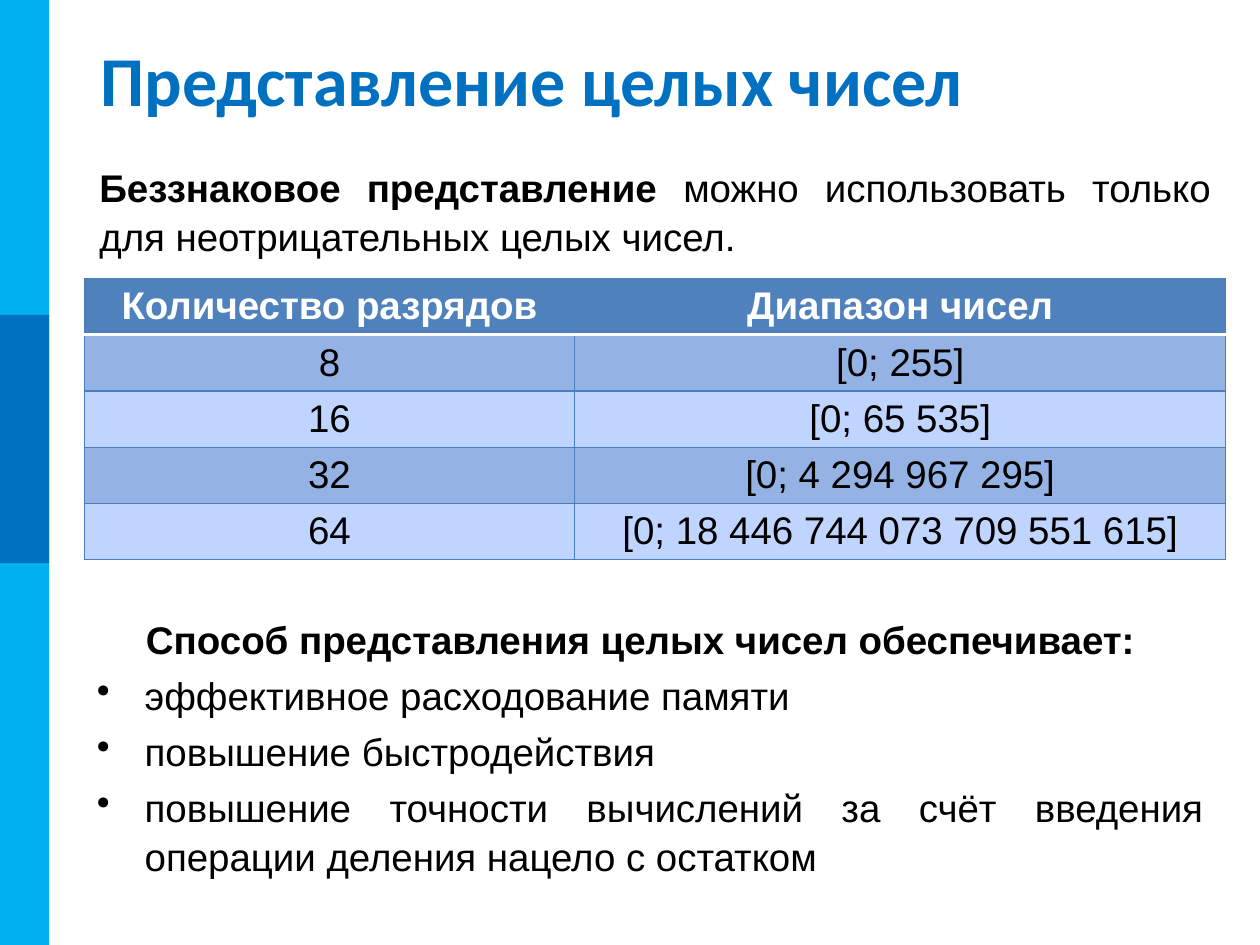
from dataclasses import dataclass

from lxml import etree
from pptx import Presentation
from pptx import util as u
from pptx.dml.color import RGBColor
from pptx.enum import shapes, text
from pptx.oxml import ns

PX = 9144
SKY = RGBColor(0x00, 0xB0, 0xF0)
BLUE = RGBColor(0x00, 0x70, 0xC0)
HEAD = RGBColor(0x4F, 0x81, 0xBD)
EDGE = RGBColor(0x4B, 0x7E, 0xBC)
DARK = RGBColor(0x94, 0xB3, 0xE4)
PALE = RGBColor(0xBF, 0xD4, 0xFF)
WHITE = RGBColor(0xFF, 0xFF, 0xFF)
BLACK = RGBColor(0x00, 0x00, 0x00)

BASE = {"name": "Arial", "size": u.Pt(22), "bold": False}
BOLD = {**BASE, "bold": True}
TITLE = {"name": "Calibri", "size": u.Pt(40), "bold": True}


@dataclass
class Box:
    x: int
    y: int
    w: int
    h: int

    def emu(self) -> tuple:
        return tuple(n * PX for n in (self.x, self.y, self.w, self.h))


@dataclass
class Bar:
    box: Box
    color: RGBColor


@dataclass
class Para:
    runs: list
    left: int = 0
    first: int = 0
    space: int = 0
    bullet: str = ""


BARS = [Bar(Box(0, 0, 39, 750), SKY), Bar(Box(0, 250, 39, 197), BLUE)]
INTRO = [
    Para([
        ("Беззнаковое представление ", BOLD),
        ("можно использовать только для неотрицательных целых чисел.", BASE),
    ])
]
GOALS = [
    "эффективное расходование памяти",
    "повышение быстродействия",
    "повышение точности вычислений за счёт введения операции деления нацело с остатком",
]
BODY = [Para([("Способ представления целых чисел обеспечивает:", BOLD)], first=39, space=4)]
BODY += [Para([(goal, BASE)], 38, -38, 4, "•") for goal in GOALS]
ROWS = [
    ("Количество разрядов", "Диапазон чисел"),
    ("8", "[0; 255]"),
    ("16", "[0; 65 535]"),
    ("32", "[0; 4 294 967 295]"),
    ("64", "[0; 18 446 744 073 709 551 615]"),
]
COLS = (389, 517)
ROW = 44


def apply(item, vals: dict) -> None:
    for key, val in vals.items():
        setattr(item, key, val)


def put_run(para, words: str, font: dict, color: RGBColor) -> None:
    run = para.add_run()
    run.text = words
    apply(run.font, font)
    run.font.color.rgb = color


def put_bar(slide, bar: Bar) -> None:
    rect = slide.shapes.add_shape(shapes.MSO_SHAPE.RECTANGLE, *bar.box.emu())
    rect.shadow.inherit = False
    rect.fill.solid()
    rect.fill.fore_color.rgb = bar.color
    rect.line.fill.background()


def put_title(slide, words: str, box: Box) -> None:
    title = slide.shapes.title
    apply(title, dict(zip(("left", "top", "width", "height"), box.emu())))
    title.text_frame.vertical_anchor = text.MSO_ANCHOR.MIDDLE
    para = title.text_frame.paragraphs[0]
    para.alignment = text.PP_ALIGN.LEFT
    put_run(para, words, TITLE, BLUE)


def put_text(slide, box: Box, paras: list) -> None:
    frame = slide.shapes.add_textbox(*box.emu()).text_frame
    frame.word_wrap = True
    for num, item in enumerate(paras):
        para = frame.add_paragraph() if num else frame.paragraphs[0]
        apply(para, {
            "alignment": text.PP_ALIGN.JUSTIFY,
            "line_spacing": 1.06,
            "space_before": u.Pt(item.space),
        })
        props = para._p.get_or_add_pPr()
        props.set("marL", str(item.left * PX))
        props.set("indent", str(item.first * PX))
        if item.bullet:
            etree.SubElement(props, ns.qn("a:buChar")).set("char", item.bullet)
        for words, font in item.runs:
            put_run(para, words, font, BLACK)


def put_edge(cell, side: str, color: RGBColor, width: float) -> None:
    line = etree.SubElement(cell._tc.get_or_add_tcPr(), ns.qn(f"a:ln{side}"))
    line.set("w", str(u.Pt(width)))
    fill = etree.SubElement(line, ns.qn("a:solidFill"))
    etree.SubElement(fill, ns.qn("a:srgbClr")).set("val", str(color))


def put_cell(cell, words: str, row: int) -> None:
    apply(cell, {
        "vertical_anchor": text.MSO_ANCHOR.MIDDLE,
        "margin_top": 4 * PX,
        "margin_bottom": 4 * PX,
    })
    for side in "LRTB":
        rule = (row, side) in ((0, "B"), (1, "T"))
        put_edge(cell, side, *((WHITE, 2) if rule else (EDGE, 0.75)))
    cell.fill.solid()
    cell.fill.fore_color.rgb = (DARK if row % 2 else PALE) if row else HEAD
    para = cell.text_frame.paragraphs[0]
    para.alignment = text.PP_ALIGN.CENTER
    put_run(para, words, BASE if row else BOLD, BLACK if row else WHITE)


def put_table(slide, x: int, y: int) -> None:
    box = Box(x, y, sum(COLS), ROW * len(ROWS))
    table = slide.shapes.add_table(len(ROWS), len(COLS), *box.emu()).table
    for col, width in zip(table.columns, COLS):
        col.width = width * PX
    for num, row in enumerate(ROWS):
        table.rows[num].height = ROW * PX
        for col, words in enumerate(row):
            put_cell(table.cell(num, col), words, num)


def main() -> None:
    deck = Presentation()
    apply(deck, {"slide_width": 1000 * PX, "slide_height": 750 * PX})
    slide = deck.slides.add_slide(deck.slide_layouts[5])
    for bar in BARS:
        put_bar(slide, bar)
    put_title(slide, "Представление целых чисел", Box(70, 30, 902, 64))
    put_text(slide, Box(67, 482, 898, 219), BODY)
    put_table(slide, 67, 221)
    put_text(slide, Box(69, 123, 902, 84), INTRO)
    deck.save("out.pptx")


if __name__ == "__main__":
    main()
